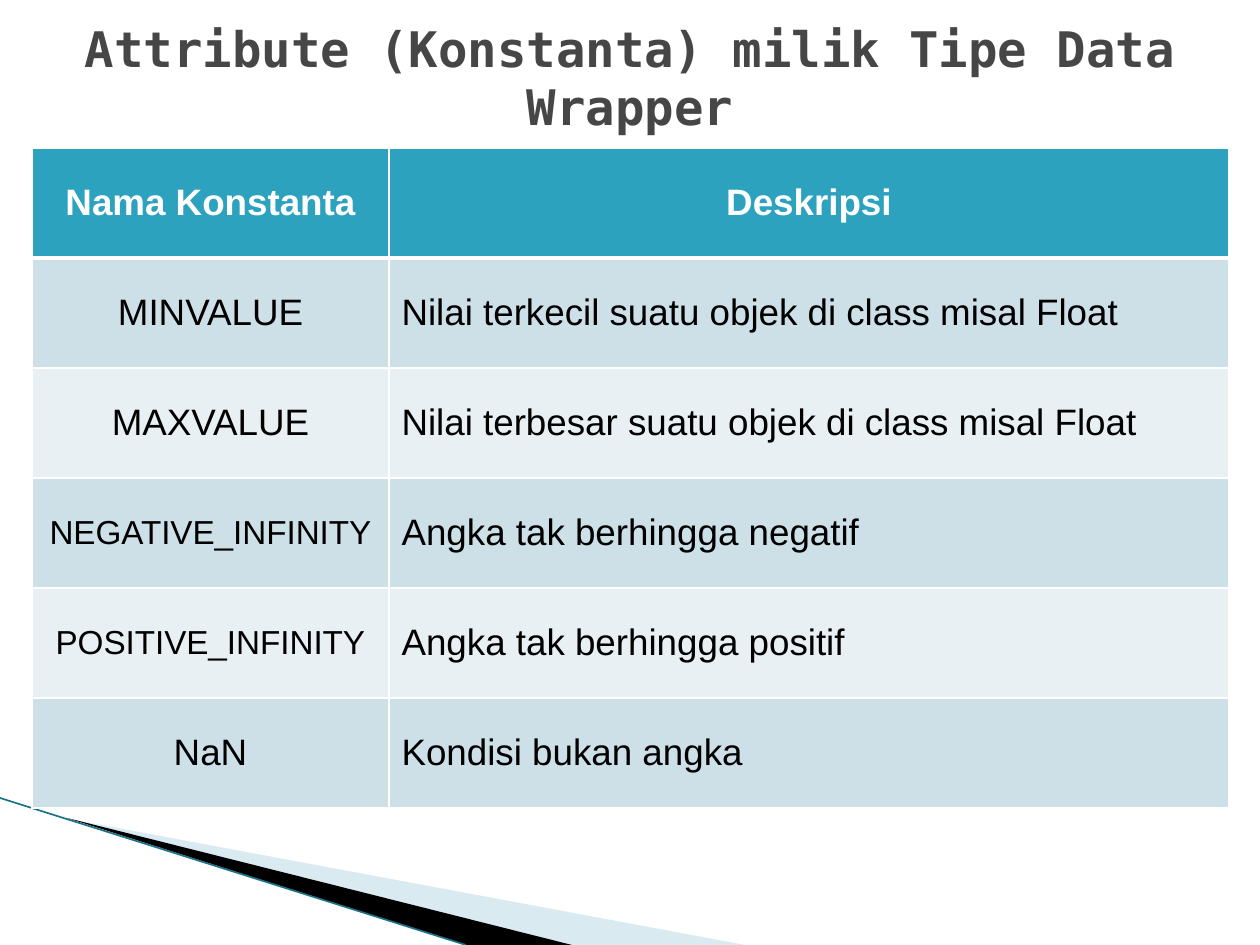
from pptx import Presentation
from pptx import util as u
from pptx.dml.color import RGBColor
from pptx.enum import shapes, text
from pptx.oxml import parse_xml
from pptx.oxml.ns import nsdecls, qn

SCALE = 914400 / 126  # EMU per px
CENTER, LEFT = text.PP_ALIGN.CENTER, text.PP_ALIGN.LEFT

ROWS = [
    ("Nama Konstanta", "Deskripsi"),
    ("MINVALUE", "Nilai terkecil suatu objek di class misal Float"),
    ("MAXVALUE", "Nilai terbesar suatu objek di class misal Float"),
    ("NEGATIVE_INFINITY", "Angka tak berhingga negatif"),
    ("POSITIVE_INFINITY", "Angka tak berhingga positif"),
    ("NaN", "Kondisi bukan angka"),
]


def emu(px):
    return round(px * SCALE)


def color(value):
    return RGBColor.from_string(value)


class Slide:
    title_font = {"name": "DejaVu Sans Mono", "size": u.Pt(28), "bold": True}
    body_font = {"name": "Arial", "size": u.Pt(21), "bold": False}
    header_font = {**body_font, "bold": True}
    small_font = {**body_font, "size": u.Pt(19)}
    header_fill = "2DA2BF"
    bands = ("CDE0E8", "E8F0F4")

    def __init__(self, deck):
        self.page = deck.slides.add_slide(deck.slide_layouts[6])

    def set_text(self, frame, words, font, ink, align):
        frame.word_wrap = True
        para = frame.paragraphs[0]
        para.alignment = align
        span = para.add_run()
        span.text = words
        for name, value in font.items():
            setattr(span.font, name, value)
        span.font.color.rgb = color(ink)

    def title(self, words, left, top, width, height):
        box = self.page.shapes.add_textbox(*map(emu, (left, top, width, height)))
        box.text_frame.vertical_anchor = text.MSO_ANCHOR.MIDDLE
        self.set_text(box.text_frame, words, self.title_font, "464646", CENTER)

    def wedge(self, points, fill, opacity=100):
        """Filled polygon without outline."""
        builder = self.page.shapes.build_freeform(*points[0], scale=SCALE)
        builder.add_line_segments(points[1:], close=True)
        shape = builder.convert_to_shape()
        shape.shadow.inherit = False
        shape.line.fill.background()
        shape.fill.solid()
        shape.fill.fore_color.rgb = color(fill)
        if opacity < 100:
            tint = shape._element.spPr.find(qn("a:solidFill")).find(qn("a:srgbClr"))
            tint.append(parse_xml(f'<a:alpha {nsdecls("a")} val="{opacity * 1000}"/>'))

    def line(self, start, end, ink, width):
        rule = self.page.shapes.add_connector(
            shapes.MSO_CONNECTOR.STRAIGHT, *map(emu, (*start, *end)))
        rule.line.color.rgb = color(ink)
        rule.line.width = u.Pt(width)
        rule._element.spPr.append(parse_xml(f'<a:effectLst {nsdecls("a")}/>'))

    def borders(self, cell, top, bottom):
        """White cell borders; top and bottom are widths in points."""
        widths = {"L": 1, "R": 1, "T": top, "B": bottom}
        for place, (side, width) in enumerate(widths.items()):
            cell._tc.get_or_add_tcPr().insert(place, parse_xml(
                f'<a:ln{side} {nsdecls("a")} w="{int(u.Pt(width))}"><a:solidFill>'
                f'<a:srgbClr val="FFFFFF"/></a:solidFill></a:ln{side}>'))

    def table(self, rows, left, top, widths, row_height):
        frame = self.page.shapes.add_table(
            len(rows), len(widths), emu(left), emu(top),
            emu(sum(widths)), emu(row_height * len(rows)))
        grid = frame.table
        for column, width in zip(grid.columns, widths):
            column.width = emu(width)
        for r, row in enumerate(rows):
            grid.rows[r].height = emu(row_height)
            for c, words in enumerate(row):
                cell = grid.cell(r, c)
                cell.vertical_anchor = text.MSO_ANCHOR.MIDDLE
                cell.fill.solid()
                fill = self.bands[(r - 1) % 2] if r else self.header_fill
                cell.fill.fore_color.rgb = color(fill)
                self.borders(cell, 3 if r == 1 else 1, 3 if r == 0 else 1)
                if r == 0:
                    font = self.header_font
                else:
                    font = self.small_font if "INFINITY" in words else self.body_font
                self.set_text(cell.text_frame, words, font,
                              "000000" if r else "FFFFFF",
                              LEFT if r and c else CENTER)


def main():
    deck = Presentation()
    deck.slide_width, deck.slide_height = emu(1260), emu(945)
    slide = Slide(deck)
    slide.wedge([(69, 819), (745, 945), (572, 945)], "A0CBDC", 40)
    slide.wedge([(67, 818), (572, 945), (466, 945)], "000000")
    slide.line((0, 798), (466, 945), "1C7288", 0.95)
    slide.table(ROWS, 32, 148, (357, 840), 110)
    slide.title("Attribute (Konstanta) milik Tipe Data Wrapper", 63, 38, 1134, 78)
    deck.save("out.pptx")


if __name__ == "__main__":
    main()
